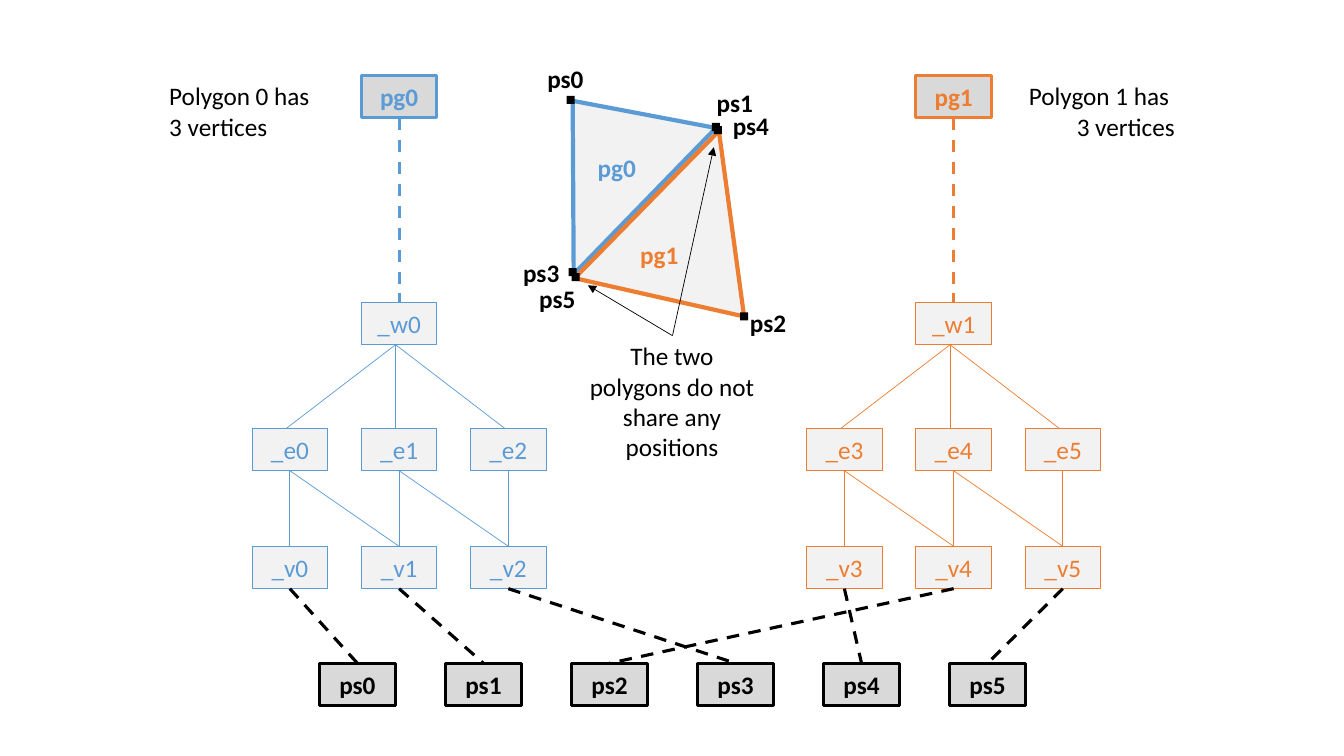
"""Build a slide showing two polygons that share no positions."""
from dataclasses import dataclass

from lxml import etree
from pptx import Presentation
from pptx.dml.color import RGBColor
from pptx.enum.dml import MSO_LINE
from pptx.enum.shapes import MSO_CONNECTOR, MSO_SHAPE
from pptx.enum.text import MSO_ANCHOR, PP_ALIGN
from pptx.oxml.ns import qn
from pptx.util import Inches, Pt

DASH = MSO_LINE.DASH
LINE = MSO_CONNECTOR.STRAIGHT
RECT = MSO_SHAPE.RECTANGLE
MIDDLE = MSO_ANCHOR.MIDDLE
LEFT, CENTER, RIGHT = PP_ALIGN.LEFT, PP_ALIGN.CENTER, PP_ALIGN.RIGHT
TOP, BOTTOM = 0, 2
FONT = "Calibri"
COLORS = {"blue": "5B9BD5", "orange": "ED7D31", "black": "000000",
          "pale": "F2F2F2", "gray": "D9D9D9"}
BOX_W, BOX_H = 0.75, 0.42
STEP = 13 / 12
DOT = 0.08


@dataclass
class Tree:
    index: int
    left: float
    color: str


@dataclass
class Label:
    text: str
    left: float
    top: float
    color: str = "black"
    width: float = 0.56
    height: float = 0.4
    bold: bool = True
    wrap: bool = False
    align: PP_ALIGN = LEFT


@dataclass
class Face:
    color: str
    points: list


TREES = [Tree(0, 2.5, "blue"), Tree(1, 8, "orange")]
LINKS = [0, 1, 3, 4, 2, 5]
FACES = [
    Face("blue", [(5.68, 1), (5.69, 2.72), (7.1, 1.27)]),
    Face("orange", [(7.38, 3.14), (5.7, 2.76), (7.13, 1.3)]),
]
DOTS = [(7.06, 1.22), (5.62, 0.95), (5.64, 2.66),
        (7.34, 3.1), (7.08, 1.25), (5.67, 2.71)]
NOTE = {"bold": False, "wrap": True}
LABELS = [
    Label("Polygon 0 has \n3 vertices", 1.58, 0.75, width=1.92, height=0.71, **NOTE),
    Label("Polygon 1 has \n3 vertices", 9.83, 0.75, width=1.92, height=0.71,
          align=RIGHT, **NOTE),
    Label("The two polygons do not share any positions", 5.75, 3.33,
          width=1.83, height=1.31, align=CENTER, **NOTE),
    Label("ps0", 5.33, 0.58),
    Label("ps1", 7.01, 0.82),
    Label("ps2", 7.34, 3),
    Label("ps3", 5.09, 2.5),
    Label("ps4", 7.17, 1.05),
    Label("ps5", 5.25, 2.76),
    Label("pg0", 5.83, 1.46, "blue", 0.58),
    Label("pg1", 6.25, 2.33, "orange", 0.58),
]
TIPS = [(7.08, 1.46), (5.83, 2.83)]


def rgb(name: str) -> RGBColor:
    return RGBColor.from_string(COLORS[name])


def write(frame, text: str, color: str, bold: bool, align: PP_ALIGN) -> None:
    para = frame.paragraphs[0]
    para.alignment = align
    for row, part in enumerate(text.split("\n")):
        if row:
            para.add_line_break()
        run = para.add_run()
        run.text = part
        run.font.name = FONT
        run.font.size = Pt(18)
        run.font.bold = bold
        run.font.color.rgb = rgb(color)


def add_box(shapes, text: str, left: float, top: float, color: str,
            strong: bool = False):
    box = shapes.add_shape(RECT, Inches(left), Inches(top),
                           Inches(BOX_W), Inches(BOX_H))
    box.shadow.inherit = False
    box.fill.solid()
    box.fill.fore_color.rgb = rgb("gray" if strong else "pale")
    box.line.color.rgb = rgb(color)
    box.line.width = Pt(2.25 if strong else 0.75)
    box.text_frame.word_wrap = True
    box.text_frame.vertical_anchor = MIDDLE
    write(box.text_frame, text, color, strong, CENTER)
    return box


def add_line(shapes, color: str, start=(0, 0), end=(0, 0), dashed: bool = False):
    line = shapes.add_connector(LINE, *map(Inches, (*start, *end)))
    line.line.color.rgb = rgb(color)
    line.line.width = Pt(2.25 if dashed else 0.5)
    if dashed:
        line.line.dash_style = DASH
    etree.SubElement(line._element.spPr, qn("a:effectLst"))
    return line


def join(shapes, upper, lower, color: str, dashed: bool = False) -> None:
    line = add_line(shapes, color, dashed=dashed)
    line.begin_connect(upper, BOTTOM)
    line.end_connect(lower, TOP)


def add_tree(shapes, tree: Tree) -> list:
    mid, color = tree.left + STEP, tree.color
    head = add_box(shapes, f"pg{tree.index}", mid, 0.75, color, True)
    wire = add_box(shapes, f"_w{tree.index}", mid, 3, color)
    join(shapes, head, wire, color, True)
    edges, verts = [
        [add_box(shapes, f"_{kind}{3 * tree.index + col}",
                 tree.left + col * STEP, top, color) for col in range(3)]
        for kind, top in (("e", 4.25), ("v", 5.42))]
    hub = mid + 0.34
    for col, edge in enumerate(edges):
        add_line(shapes, color, (hub, 3.42), (hub + (col - 1) * STEP, 4.25))
        for vert in verts[col:col + 2]:
            join(shapes, edge, vert, color)
    return verts


def add_face(shapes, face: Face) -> None:
    first, *rest = [(Inches(x), Inches(y)) for x, y in face.points]
    path = shapes.build_freeform(*first)
    path.add_line_segments(rest, close=True)
    shape = path.convert_to_shape()
    shape.shadow.inherit = False
    shape.fill.solid()
    shape.fill.fore_color.rgb = rgb("pale")
    shape.line.color.rgb = rgb(face.color)
    shape.line.width = Pt(3)


def add_dot(shapes, left: float, top: float) -> None:
    dot = shapes.add_shape(RECT, *map(Inches, (left, top, DOT, DOT)))
    dot.shadow.inherit = False
    dot.fill.solid()
    dot.fill.fore_color.rgb = rgb("black")
    dot.line.fill.background()


def add_label(shapes, label: Label) -> None:
    box = shapes.add_textbox(Inches(label.left), Inches(label.top),
                             Inches(label.width), Inches(label.height))
    box.text_frame.word_wrap = label.wrap
    write(box.text_frame, label.text, label.color, label.bold, label.align)


def add_arrow(shapes, tip: tuple) -> None:
    arrow = add_line(shapes, "black", (6.67, 3.33), tip)
    etree.SubElement(arrow.line._get_or_add_ln(), qn("a:tailEnd"), type="triangle")


def main() -> None:
    deck = Presentation()
    deck.slide_width, deck.slide_height = Inches(13.33), Inches(7.5)
    shapes = deck.slides.add_slide(deck.slide_layouts[6]).shapes
    verts = [vert for tree in TREES for vert in add_tree(shapes, tree)]
    spots = [add_box(shapes, f"ps{num}", 3.17 + 1.25 * num, 6.58, "black", True)
             for num in range(6)]
    for vert, num in zip(verts, LINKS):
        join(shapes, vert, spots[num], "black", True)
    for face in FACES:
        add_face(shapes, face)
    for spot in DOTS:
        add_dot(shapes, *spot)
    for label in LABELS:
        add_label(shapes, label)
    for tip in TIPS:
        add_arrow(shapes, tip)
    deck.save("out.pptx")


if __name__ == "__main__":
    main()
